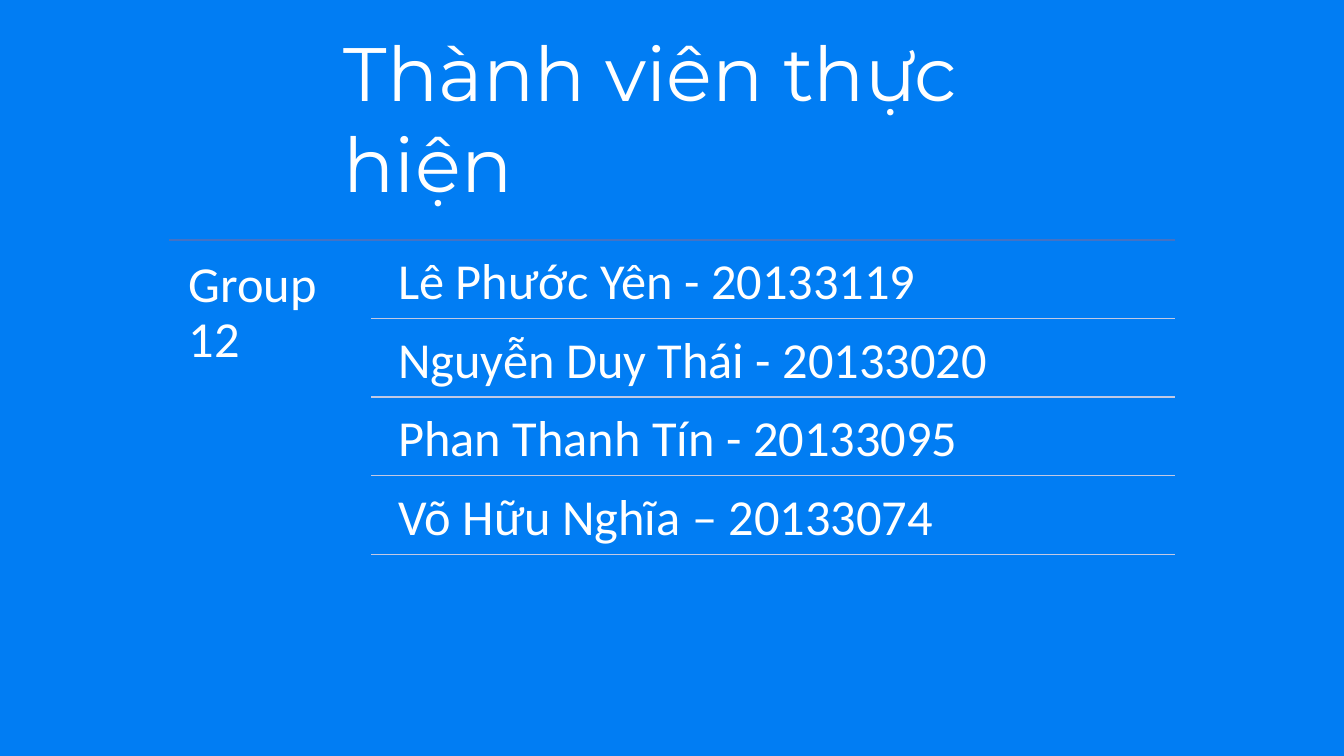
from pptx import Presentation
from pptx.dml.color import RGBColor as RGB
from pptx.enum.shapes import MSO_CONNECTOR as Conn
from pptx.oxml.ns import qn
from pptx.util import Inches, Pt
from lxml import etree

deck = Presentation()
deck.slide_width, deck.slide_height = Inches(13.33), Inches(7.5)
slide = deck.slides.add_slide(deck.slide_layouts[6])


def text(words, x, y, w, h, size, font, inset=0, space=1.0):
    box = slide.shapes.add_textbox(Inches(x), Inches(y), Inches(w), Inches(h))
    frame = box.text_frame
    frame.word_wrap = True
    frame.margin_left = frame.margin_right = Inches(inset)
    frame.margin_top = frame.margin_bottom = Inches(inset)
    para = frame.paragraphs[0]
    para.line_spacing = space
    run = para.add_run()
    run.text = words
    run.font.size, run.font.name = Pt(size), font
    run.font.color.rgb = RGB.from_string("FFFFFF")


def rule(left, y, color):
    line = slide.shapes.add_connector(
        Conn.STRAIGHT, Inches(left), Inches(y), Inches(11.65), Inches(y))
    line.line.color.rgb = RGB.from_string(color)
    line.line.width = Pt(1)
    etree.SubElement(line.element.spPr, qn("a:effectLst"))


# Background and title
fill = slide.background.fill
fill.solid()
fill.fore_color.rgb = RGB.from_string("017DF3")
text("Thành viên thực hiện", 3.41, 0.26, 6.51, 0.91, 54, "Montserrat")

# Group label under the top rule
top = 2.38
rule(1.68, top, "4472C4")
text("Group 12", 1.68, top, 1.99, 3.15, 36, "Calibri", 0.19, 0.9)

# Members, each with a rule below
members = [
    "Lê Phước Yên - 20133119",
    "Nguyễn Duy Thái - 20133020",
    "Phan Thanh Tín - 20133095",
    "Võ Hữu Nghĩa – 20133074",
]
step = 0.78
for i, name in enumerate(members):
    y = top + i * step
    text(name, 3.83, y + 0.04, 7.82, 0.74, 36, "Calibri", 0.12, 0.9)
    rule(3.68, y + step, "C1C9E4")

deck.save("out.pptx")
